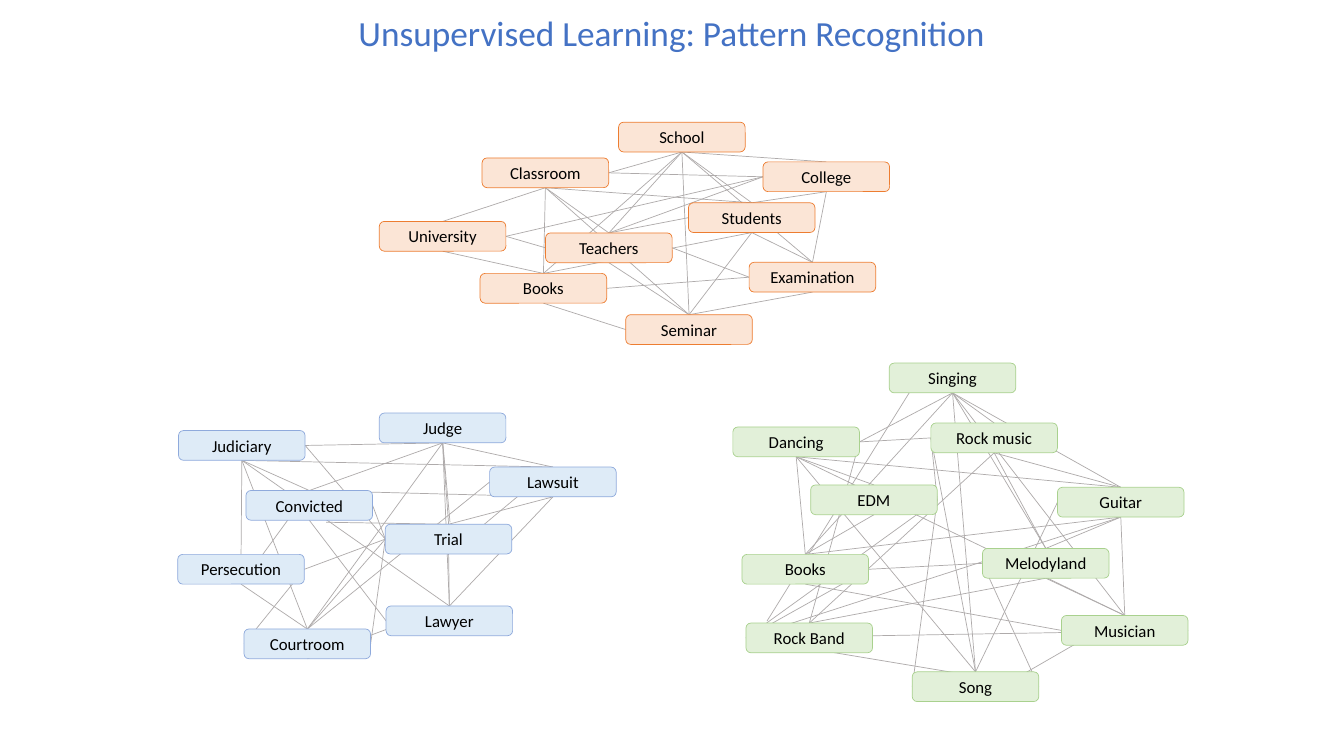
from pptx import Presentation
from pptx.dml.color import RGBColor
from pptx.enum.shapes import MSO_CONNECTOR, MSO_SHAPE
from pptx.enum.text import MSO_ANCHOR, PP_ALIGN
from pptx.oxml.ns import qn
from pptx.util import Cm, Pt
from lxml import etree

STRAIGHT = MSO_CONNECTOR.STRAIGHT
ROUNDED = MSO_SHAPE.ROUNDED_RECTANGLE
MIDDLE, BOTTOM = MSO_ANCHOR.MIDDLE, MSO_ANCHOR.BOTTOM
CENTER = PP_ALIGN.CENTER

FONT = "Calibri"
COLORS = {
    "title": "4472C4", "text": "000000", "link": "AFABAB",
    "school fill": "FBE5D6", "school line": "ED7D31",
    "law fill": "DEEBF7", "law line": "8FAADC",
    "music fill": "E2F0D9", "music line": "A9D18E",
}
BOX_WIDTH, BOX_HEIGHT = Cm(3.19), Cm(0.75)
SITES = {"T": 0, "L": 1, "B": 2, "R": 3}  # top, left, bottom, right

# Each cluster: words with left and top in cm, links from one box side to
# others, and loose lines as x, y, x, y in cm
CLUSTERS = {
    "school": {
        "words": {
            "Classroom": (12.15, 3.98), "Teachers": (13.75, 5.87),
            "Seminar": (15.77, 7.93), "Books": (12.1, 6.89),
            "Examination": (18.88, 6.61), "University": (9.56, 5.58),
            "Students": (17.35, 5.11), "School": (15.59, 3.08),
            "College": (19.23, 4.08),
        },
        "links": {
            "School B": "Classroom R, College T, Students T, Teachers T, "
                        "Seminar T, Books T, Examination T",
            "Classroom B": "University T, Teachers T, Books T, Students T, Seminar T",
            "Students B": "Seminar T, Examination T, Books T",
            "College B": "Examination T, Students T",
            "College L": "Teachers T, Classroom R, University R",
            "Seminar T": "Teachers B, Examination B",
            "Books T": "University B",
            "Teachers L": "University R",
            "Examination L": "Teachers R, Books R",
            "Seminar L": "Books B",
            "Teachers T": "Students L",
        },
        "loose": [],
    },
    "law": {
        "words": {
            "Judiciary": (4.5, 10.85), "Courtroom": (6.15, 15.85),
            "Lawyer": (9.73, 15.27), "Convicted": (6.2, 12.36),
            "Trial": (9.71, 13.21), "Persecution": (4.48, 13.97),
            "Lawsuit": (12.34, 11.77), "Judge": (9.56, 10.41),
        },
        "links": {
            "Judge B": "Judiciary R, Lawsuit T, Courtroom T, Lawyer T, "
                       "Convicted T, Trial T",
            "Judiciary B": "Persecution T, Courtroom T, Convicted T, Lawsuit T, Lawyer T",
            "Lawsuit B": "Lawyer T, Trial T, Convicted T",
            "Lawyer T": "Courtroom B, Trial B",
            "Persecution B": "Convicted T, Courtroom T",
            "Persecution R": "Courtroom L",
            "Trial L": "Courtroom T, Judiciary R, Persecution R, Courtroom R, Convicted R",
            "Trial B": "Lawsuit T",
            "Lawyer L": "Convicted B",
            "Courtroom T": "Lawsuit L",
        },
        "loose": [(11.16, 11.17, 11.34, 13.16), (8.22, 13.16, 11.31, 13.21)],
    },
    "music": {
        "words": {
            "Dancing": (18.47, 10.76), "Song": (22.99, 16.93),
            "Musician": (26.75, 15.51), "Books": (18.7, 13.97),
            "EDM": (20.43, 12.22), "Guitar": (26.65, 12.28),
            "Singing": (22.41, 9.15), "Rock music": (23.46, 10.66),
            "Rock Band": (18.8, 15.7), "Melodyland": (24.76, 13.82),
        },
        "links": {
            "Singing B": "Dancing R, Rock music T, Guitar T, Song T, "
                         "Musician T, Books T, Melodyland T",
            "Dancing B": "EDM T, Song T, Books T, Guitar T, Musician T",
            "Guitar B": "Musician T, Melodyland T, Books T",
            "Rock music B": "Melodyland T, Guitar T",
            "Rock music L": "Song T, Dancing R, EDM R",
            "Musician T": "Song B, Melodyland B",
            "Books T": "EDM B",
            "Song L": "EDM R",
            "Melodyland L": "Song R, Books R",
            "Musician L": "Books B",
            "Guitar L": "Song T",
            "Rock Band L": "Musician R, Song R, Guitar B, Books R, EDM R",
            "Rock Band T": "Melodyland B, Rock music B, Dancing R",
        },
        "loose": [(19.33, 15.65, 22.95, 9.84)],
    },
}


def add_line(x1, y1, x2, y2):
    line = page.shapes.add_connector(STRAIGHT, Cm(x1), Cm(y1), Cm(x2), Cm(y2))
    line.line.color.rgb = RGBColor.from_string(COLORS["link"])
    line.line.width = Pt(0.5)
    etree.SubElement(line._element.spPr, qn("a:effectLst"))
    return line


def write_text(shape, text, size, color, anchor):
    frame = shape.text_frame
    frame.word_wrap = True
    frame.vertical_anchor = anchor
    para = frame.paragraphs[0]
    para.text = text
    para.alignment = CENTER
    para.font.name = FONT
    para.font.size = Pt(size)
    para.font.color.rgb = RGBColor.from_string(COLORS[color])
    return para


deck = Presentation()
deck.slide_width, deck.slide_height = Cm(33.87), Cm(19.05)
page = deck.slides.add_slide(deck.slide_layouts[6])

# Title
title = page.shapes.add_textbox(Cm(4.23), Cm(0.39), Cm(25.4), Cm(1.1))
heading = write_text(title, "Unsupervised Learning: Pattern Recognition",
                     25.2, "title", BOTTOM)
heading.line_spacing = 0.9

for theme, cluster in CLUSTERS.items():
    # Lines come first so that they lie behind the boxes
    for ends in cluster["loose"]:
        add_line(*ends)
    links = [(start, end, add_line(0, 0, 0, 0))
             for start, targets in cluster["links"].items()
             for end in targets.split(", ")]

    # Word boxes
    boxes = {}
    for word, (left, top) in cluster["words"].items():
        box = page.shapes.add_shape(ROUNDED, Cm(left), Cm(top), BOX_WIDTH, BOX_HEIGHT)
        box.shadow.inherit = False
        box.fill.solid()
        box.fill.fore_color.rgb = RGBColor.from_string(COLORS[theme + " fill"])
        box.line.color.rgb = RGBColor.from_string(COLORS[theme + " line"])
        box.line.width = Pt(0.5)
        write_text(box, word, 12, "text", MIDDLE)
        boxes[word] = box

    # Glue the lines to the box sides
    for start, end, line in links:
        word, side = start.rsplit(" ", 1)
        line.begin_connect(boxes[word], SITES[side])
        word, side = end.rsplit(" ", 1)
        line.end_connect(boxes[word], SITES[side])

deck.save("out.pptx")
